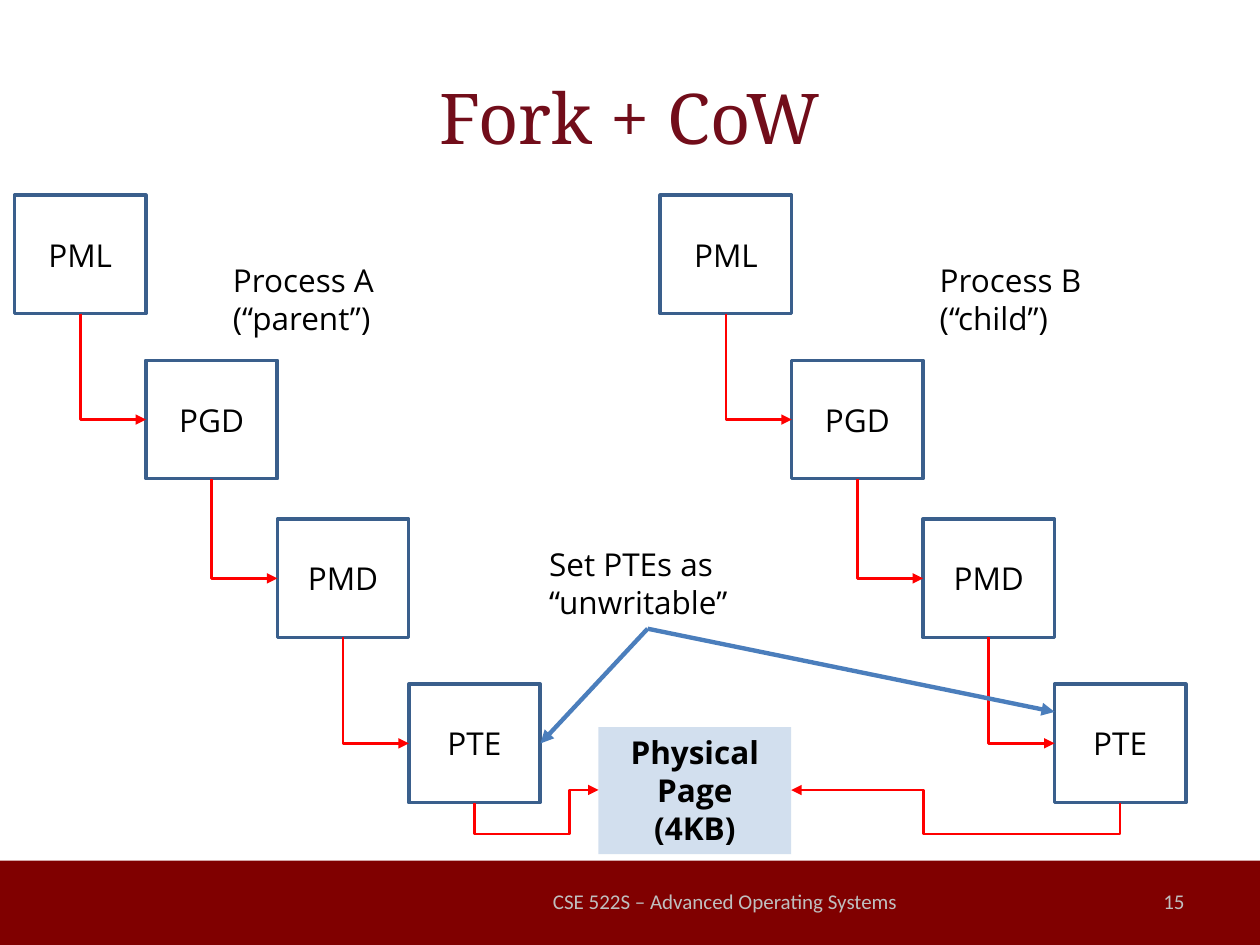
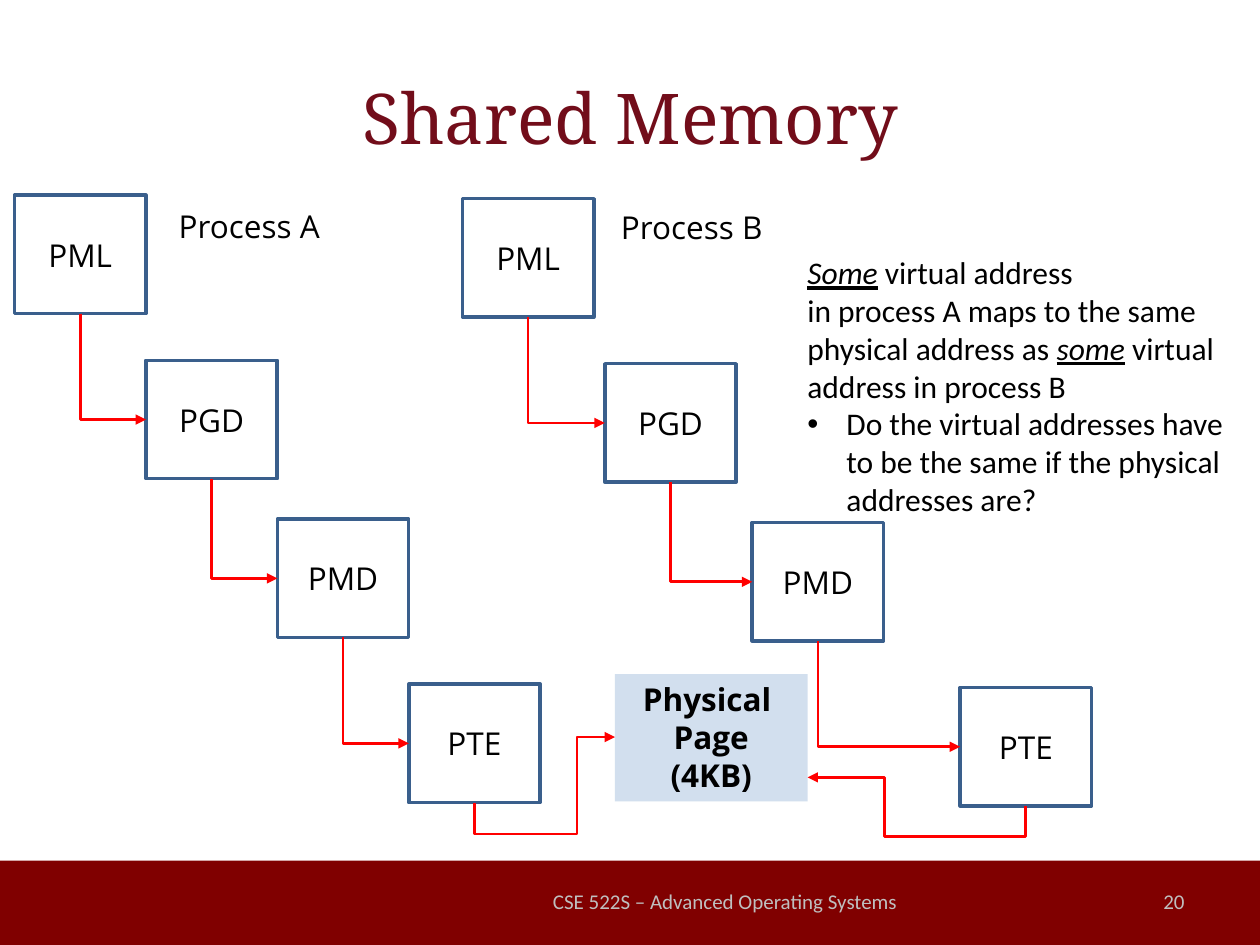
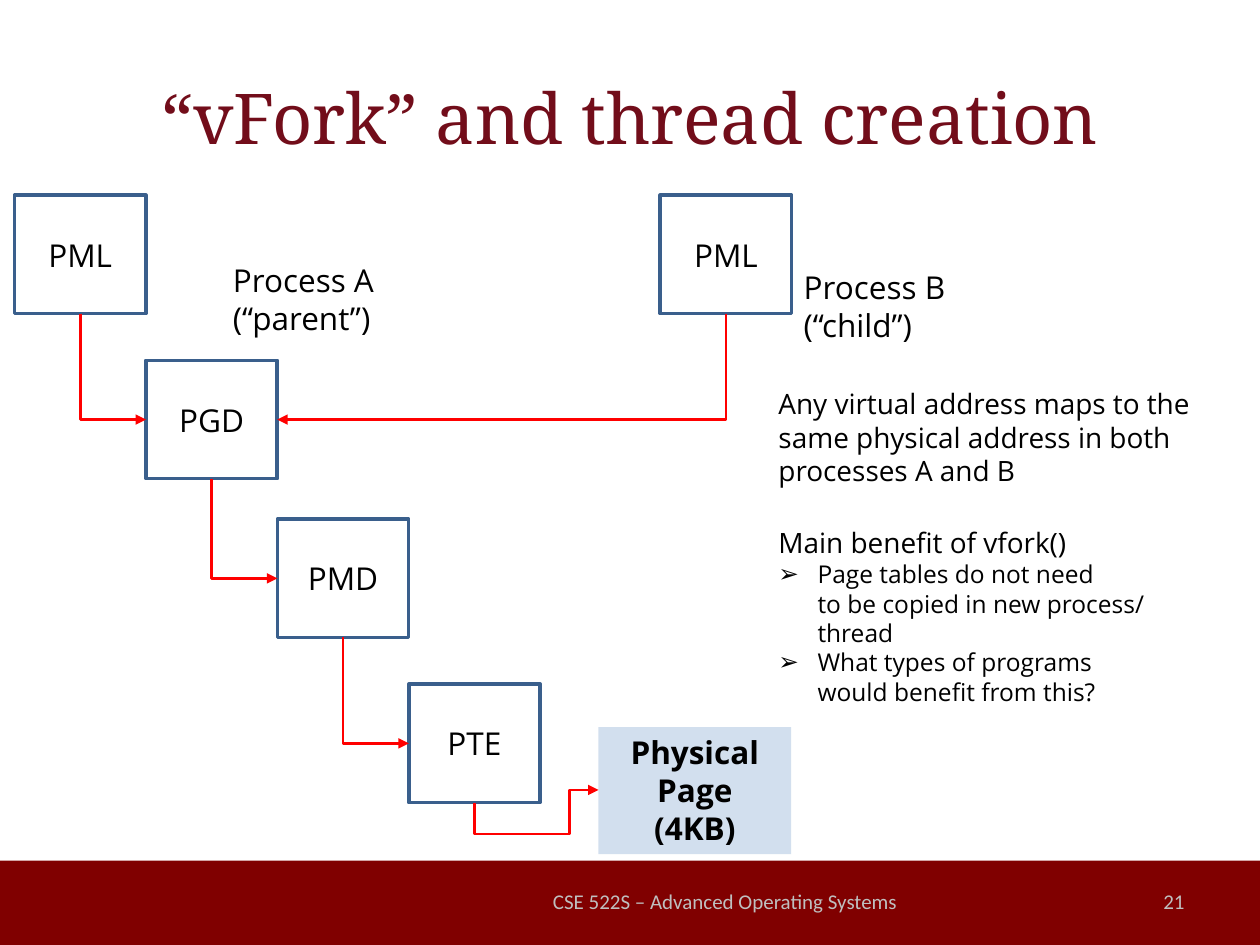
from copy import deepcopy

from lxml import etree
from pptx import Presentation
from pptx.dml.color import RGBColor
from pptx.enum.shapes import MSO_CONNECTOR, MSO_SHAPE
from pptx.enum.text import MSO_ANCHOR, PP_ALIGN
from pptx.oxml.ns import qn
from pptx.util import Inches, Pt

RECT = MSO_SHAPE.RECTANGLE
LINE, ELBOW = MSO_CONNECTOR.STRAIGHT, MSO_CONNECTOR.ELBOW
TOP, MID = MSO_ANCHOR.TOP, MSO_ANCHOR.MIDDLE
LEFT, CENTER, RIGHT = PP_ALIGN.LEFT, PP_ALIGN.CENTER, PP_ALIGN.RIGHT

COLORS = {"band": "800000", "title": "720D1A", "foot": "BFBFBF",
          "text": "000000", "box": "3A5F8C", "page": "4F81BD",
          "bend": "FF0000", "arrow": "4B7EBC"}
SANS, SERIF, PLAIN = "Open Sans", "Noto Serif", "Calibri"

# Grid of 100 columns by 75 rows
COLS, ROWS = 100, 75
WIDTH, HEIGHT = Inches(10), Inches(7.5)

# Page table levels and the size of their boxes
LEVELS = ["PML", "PGD", "PMD", "PTE"]
TOPS = [15.5, 28.6, 41.2, 54.3]
BOX_W, BOX_H = 10.43, 9.4
PAGE_W, PAGE_H = 15.3, 10.1


def steps(left):
    """Left edges of a staircase whose boxes touch corner to corner."""
    return [left + i * BOX_W for i in range(len(LEVELS))]


def color(name):
    return RGBColor.from_string(COLORS[name])


def sub(parent, tag, **attrs):
    return etree.SubElement(parent, qn(tag), attrs)


class Deck:
    def __init__(self):
        self.prs = Presentation()
        self.prs.slide_width, self.prs.slide_height = WIDTH, HEIGHT
        self.slide = None

    def place(self, *grid):
        """Turn column, row pairs into lengths."""
        units = (WIDTH / COLS, HEIGHT / ROWS)
        return [round(n * units[i % 2]) for i, n in enumerate(grid)]

    def start(self, title, number):
        self.slide = self.prs.slides.add_slide(self.prs.slide_layouts[6])
        self.rect(0, 68.3, COLS, 6.7, fill="band")
        self.text(5, 3, 90, 12.5, title, 40, SERIF, "title", CENTER, MID)
        self.text(41.7, 69.5, 31.7, 4, "CSE 522S – Advanced Operating Systems",
                  12, PLAIN, "foot", CENTER, MID)
        self.text(71.7, 69.5, 23.3, 4, str(number),
                  12, PLAIN, "foot", RIGHT, MID)

    def put(self, para, text, size=18, font=SANS, tint="text",
            align=LEFT, bold=False):
        """Fill a paragraph; words between asterisks are stressed."""
        para.alignment = align
        for i, piece in enumerate(text.split("*")):
            for j, line in enumerate(piece.split("\n")):
                if j:
                    para.add_line_break()
                run = para.add_run()
                run.text = line
                run.font.size, run.font.name = Pt(size), font
                run.font.color.rgb = color(tint)
                run.font.bold = bold
                run.font.italic = run.font.underline = i % 2 == 1
        for br in para._p.findall(qn("a:br")):
            br.append(deepcopy(para.runs[-1]._r.rPr))

    def text(self, x, y, w, h, text, size=18, font=SANS, tint="text",
             align=LEFT, anchor=TOP):
        frame = self.slide.shapes.add_textbox(*self.place(x, y, w, h)).text_frame
        frame.word_wrap, frame.vertical_anchor = True, anchor
        self.put(frame.paragraphs[0], text, size, font, tint, align)
        return frame

    def add(self, frame, text, size, font=SANS, bullet=None, gap=0):
        para = frame.add_paragraph()
        self.put(para, text, size, font)
        para.space_before = Pt(gap)
        if bullet:
            props = para._p.get_or_add_pPr()
            hang = Inches(0.31)
            props.set("marL", str(hang))
            props.set("indent", str(-hang))
            sub(props, "a:buFont", typeface="Arial")
            sub(props, "a:buChar", char=bullet)

    def rect(self, x, y, w, h, fill=None, line=None):
        shape = self.slide.shapes.add_shape(RECT, *self.place(x, y, w, h))
        shape.shadow.inherit = False
        if fill:
            shape.fill.solid()
            shape.fill.fore_color.rgb = color(fill)
        else:
            shape.fill.background()
        if line:
            shape.line.color.rgb, shape.line.width = color(line), Pt(2)
        else:
            shape.line.fill.background()
        return shape

    def box(self, x, y, label):
        frame = self.rect(x, y, BOX_W, BOX_H, line="box").text_frame
        frame.vertical_anchor = MID
        self.put(frame.paragraphs[0], label, align=CENTER)

    def page(self, x, y, text=" Physical \nPage\n(4KB)"):
        shape = self.rect(x, y, PAGE_W, PAGE_H, fill="page")
        tint = shape._element.spPr.find(qn("a:solidFill"))[0]
        sub(tint, "a:alpha", val="25000")
        shape.text_frame.vertical_anchor = TOP
        self.put(shape.text_frame.paragraphs[0], text, align=CENTER, bold=True)

    def link(self, kind, start, end, tint, width):
        link = self.slide.shapes.add_connector(kind, *self.place(*start, *end))
        link.line.color.rgb, link.line.width = color(tint), Pt(width)
        props = link._element.spPr
        sub(props.find(qn("a:ln")), "a:tailEnd", type="triangle")
        sub(props, "a:effectLst")
        return link

    def arrow(self, start, end):
        self.link(LINE, start, end, "arrow", 2.5)

    def bend(self, start, end, floor=None, turn=None):
        """Go down, then across; with a floor, rise again at column turn."""
        link = self.link(ELBOW, start, end, "bend", 1.5)
        (x1, y1), (x2, y2) = start, end
        right = x2 > x1
        # The preset leaves sideways, so it is turned by a quarter
        w, h = abs(y2 - y1), abs(x2 - x1)
        link.left, link.top, link.width, link.height = self.place(
            (x1 + x2 - w) / 2, (y1 + y2 - h) / 2, w, h)
        if floor is None:
            preset, adjust = "bentConnector2", []
            angle, flip_h, flip_v = 270 if right else 90, right, False
        else:
            preset, angle, flip_h, flip_v = "bentConnector4", 90, True, right
            adjust = [(floor - y1) / (y2 - y1), (turn - x1) / (x2 - x1)]
        props = link._element.spPr
        frame = props.find(qn("a:xfrm"))
        frame.set("rot", str(angle * 60000))
        frame.set("flipH", str(int(flip_h)))
        frame.set("flipV", str(int(flip_v)))
        shape = props.find(qn("a:prstGeom"))
        shape.set("prst", preset)
        for i, share in enumerate(adjust, 1):
            sub(shape.find(qn("a:avLst")), "a:gd", name=f"adj{i}",
                fmla=f"val {round(share * 100000)}")

    def chain(self, lefts, drop=0):
        """Draw the linked levels; return the foot of the last box."""
        foot = None
        for x, y, label in zip(lefts, TOPS, LEVELS):
            y += drop
            self.box(x, y, label)
            if foot:
                self.bend(foot, (x, y + BOX_H / 2))
            foot = (x + BOX_W / 2, y + BOX_H)
        return foot


deck = Deck()
A_LEFT, B_LEFT = 1.15, 52.4
FLOOR = 66.2
PAGE_X, PAGE_Y = 47.5, 57.7
PAGE_MID = PAGE_Y + PAGE_H / 2 - 0.05
PARENT, CHILD = "Process A\n(“parent”)", "Process B\n(“child”)"

# Slide 1: two full chains share a page
deck.start("Fork + CoW", 15)
deck.page(PAGE_X, PAGE_Y)
deck.bend(deck.chain(steps(A_LEFT)), (PAGE_X, PAGE_MID), FLOOR, 45.2)
deck.bend(deck.chain(steps(B_LEFT)), (PAGE_X + PAGE_W, PAGE_MID), FLOOR, 73.3)
deck.text(17.5, 20.2, 14.9, 7.1, PARENT)
deck.text(73.6, 20.2, 14.2, 7.1, CHILD)
deck.text(42.6, 42.8, 17.6, 7.1, "Set PTEs as\n“unwritable”")
for tip in [(42.9, 59), (83.7, 56.5)]:
    deck.arrow((51.4, 49.9), tip)

# Slide 2: separate chains, one shared mapping
deck.start("Shared Memory", 20)
deck.bend(deck.chain(steps(A_LEFT)), (48.8, 58.5), FLOOR, 45.8)
deck.bend(deck.chain([36.7, 48, 59.7, 76.2], drop=0.27),
          (64.1, 61.7), FLOOR + 0.2, 70.2)
deck.text(13.2, 15.9, 14.2, 4, "Process A")
deck.text(48.3, 16, 14.2, 4, "Process B")
deck.page(48.8, 53.5, "Physical \nPage\n(4KB)")
note = deck.text(63.1, 19.6, 36.3, 22.2,
                 "*Some* virtual address\nin process A maps to the same\n"
                 "physical address as *some* virtual\naddress in process B",
                 font=PLAIN)
deck.add(note, "Do the virtual addresses have \nto be the same if the physical\n"
         "addresses are?", 18, PLAIN, "•")

# Slide 3: the child joins the parent's chain
deck.start("“vFork” and thread creation", 21)
deck.page(PAGE_X, PAGE_Y)
deck.bend(deck.chain(steps(A_LEFT)), (PAGE_X, PAGE_MID), FLOOR, 45.2)
deck.box(B_LEFT, TOPS[0], LEVELS[0])
deck.bend((B_LEFT + BOX_W / 2, TOPS[0] + BOX_H),
          (A_LEFT + 2 * BOX_W, TOPS[1] + BOX_H / 2))
deck.text(17.5, 20.2, 14.9, 7.1, PARENT)
deck.text(62.8, 20.8, 14.2, 7.1, CHILD)
note = deck.text(60.8, 30.2, 38.2, 31,
                 "Any virtual address maps to the\nsame physical address in both\n"
                 "processes A and B", 16)
deck.add(note, "Main benefit of vfork()", 16, gap=21.8)
for point in ["Page tables do not need\nto be copied in new process/\nthread",
              "What types of programs\nwould benefit from this?"]:
    deck.add(note, point, 14, bullet="➢")

deck.prs.save("out.pptx")
